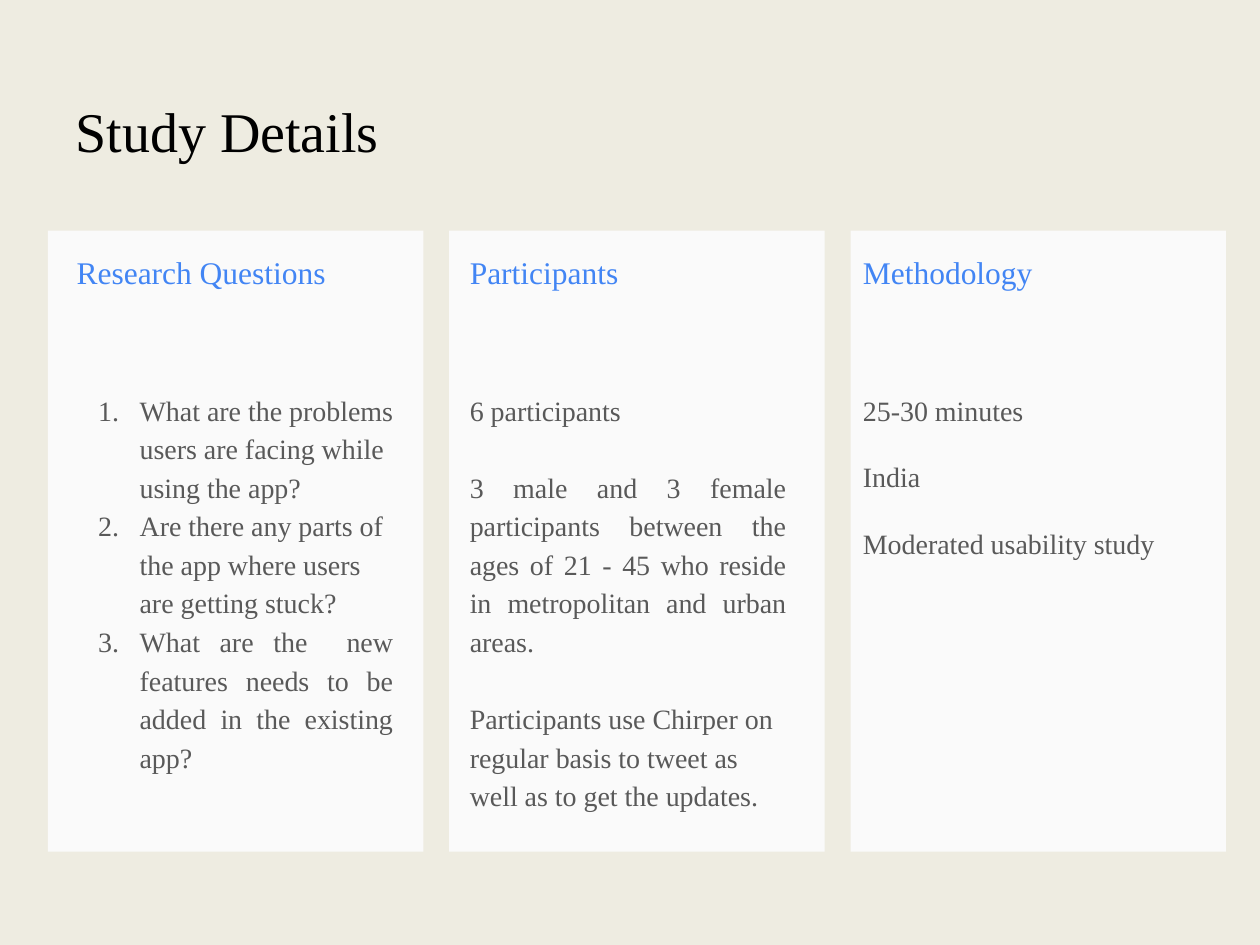
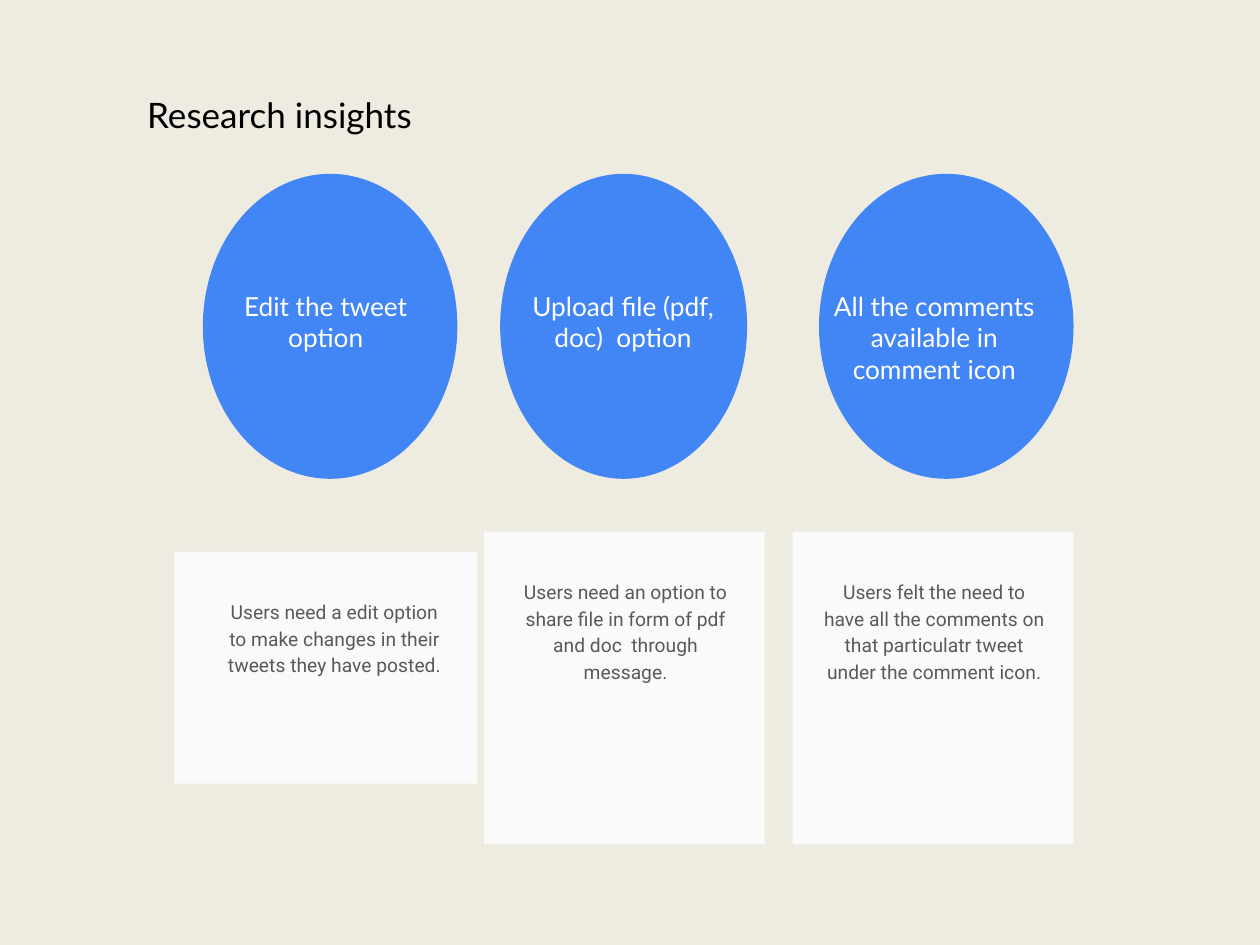
from lxml.etree import SubElement
from pptx import Presentation
from pptx.dml.color import RGBColor
from pptx.enum.shapes import MSO_SHAPE
from pptx.enum.text import PP_ALIGN
from pptx.oxml.ns import qn
from pptx.util import Inches, Pt

SAND = RGBColor(0xEE, 0xEC, 0xE1)
PAPER = RGBColor(0xFA, 0xFA, 0xFA)
BLUE = RGBColor(0x42, 0x85, 0xF4)
GREY = RGBColor(0x59, 0x59, 0x59)
BLACK = RGBColor(0, 0, 0)
WHITE = RGBColor(0xFF, 0xFF, 0xFF)
SERIF, SANS, NOTE = "Times New Roman", "Lato", "Roboto"

WIDTH, HEIGHT = Inches(10), Inches(7.5)
COL, ROW = WIDTH / 100, HEIGHT / 75
INSET = Inches(0.1)
LEFT, MID, FULL = PP_ALIGN.LEFT, PP_ALIGN.CENTER, PP_ALIGN.JUSTIFY

TOPICS = [
    ("Research Questions", 0, True, [
        ("What are the problems users are facing while using the app?", LEFT),
        ("Are there any parts of the app where users are getting stuck?", LEFT),
        ("What are the  new features needs to be added in the existing app?", FULL)]),
    ("Participants", 22, False, [
        ("6 participants", LEFT),
        ("3 male and 3 female participants between the ages of 21 - 45 "
         "who reside in metropolitan and urban areas.", FULL),
        ("Participants use Chirper on regular basis to tweet as well as "
         "to get the updates.", LEFT)]),
    ("Methodology", 16, False, [
        ("25-30 minutes", LEFT),
        ("India", LEFT),
        ("Moderated usability study", FULL)]),
]

INSIGHTS = [
    ((16.1, 20.2), 16.1, (13.8, 43.8, 24.1, 18.4), 16.8, "Edit the tweet option",
     "Users need a edit option to make changes in their tweets they have posted."),
    ((39.7, 19.6), 39.7, (38.4, 42.2, 22.3, 24.8), 39.9, "Upload file (pdf, doc)  option",
     "Users need an option to share file in form of pdf and doc  through message."),
    ((65, 20.2), 64.4, (62.9, 42.2, 22.3, 24.8), 64.4,
     "All the comments available in comment icon",
     "Users felt the need to have all the comments on that particulatr tweet "
     "under the comment icon."),
]


def place(x, y, w, h):
    return round(x * COL), round(y * ROW), round(w * COL), round(h * ROW)


def panel(slide, kind, box, fill):
    shape = slide.shapes.add_shape(kind, *place(*box))
    shape.shadow.inherit = False
    shape.fill.solid()
    shape.fill.fore_color.rgb = fill
    shape.line.fill.background()


def number(para):
    props = para._p.get_or_add_pPr()
    props.set("marL", str(Inches(0.5)))
    props.set("indent", str(Inches(-0.33)))
    color = SubElement(SubElement(props, qn("a:buClr")), qn("a:srgbClr"))
    color.set("val", str(GREY))
    SubElement(props, qn("a:buAutoNum")).set("type", "arabicPeriod")


def write(slide, box, lines, font, size, color, pitch=1.15, gap=0, listed=False):
    frame = slide.shapes.add_textbox(*place(*box)).text_frame
    frame.word_wrap = True
    frame.margin_left = frame.margin_right = INSET
    frame.margin_top = frame.margin_bottom = INSET
    frame.text = "\n".join(text for text, align in lines)
    for i, (para, (text, align)) in enumerate(zip(frame.paragraphs, lines)):
        para.alignment = align
        para.line_spacing = pitch
        if i and gap:
            para.space_before = Pt(gap)
        if listed:
            number(para)
        style = para.runs[0].font
        style.name, style.size = font, Pt(size)
        style.color.rgb = color


def start(deck, title, box, font, size):
    slide = deck.slides.add_slide(deck.slide_layouts[6])
    slide.background.fill.solid()
    slide.background.fill.fore_color.rgb = SAND
    write(slide, box, [(title, LEFT)], font, size, BLACK)
    return slide


def topic(slide, box, shift, head, gap, listed, lines):
    x, y, w, h = box
    panel(slide, MSO_SHAPE.RECTANGLE, box, PAPER)
    write(slide, (x + shift, y + 0.8, 27.1, 4.1), [(head, LEFT)],
          SERIF, 18, BLUE, 1)
    write(slide, (x + shift, y + 11.5, 27.1, h - 14), lines,
          SERIF, 16, GREY, gap=gap, listed=listed)


def details(deck):
    slide = start(deck, "Study Details", (5, 5.9, 57, 9.6), SERIF, 32)
    for i, part in enumerate(TOPICS):
        topic(slide, (3.8 + 31.85 * i, 18.3, 29.8, 49.3), 1.3 - 0.65 * i, *part)


def insight(slide, oval, tag, card, memo, label, text):
    x, w = oval
    panel(slide, MSO_SHAPE.RECTANGLE, card, PAPER)
    panel(slide, MSO_SHAPE.OVAL, (x, 13.8, w, 24.2), BLUE)
    write(slide, (tag, 22, 19.5, 7.9), [(label, MID)], SANS, 15, WHITE, 1)
    write(slide, (memo, card[1] + 2.6, 19.5, 12), [(text, MID)], NOTE, 11, GREY)


def insights(deck):
    slide = start(deck, "Research insights", (10.7, 5.9, 43, 7), SANS, 20)
    for part in INSIGHTS:
        insight(slide, *part)


def main():
    deck = Presentation()
    deck.slide_width, deck.slide_height = WIDTH, HEIGHT
    details(deck)
    insights(deck)
    deck.save("out.pptx")


if __name__ == "__main__":
    main()
